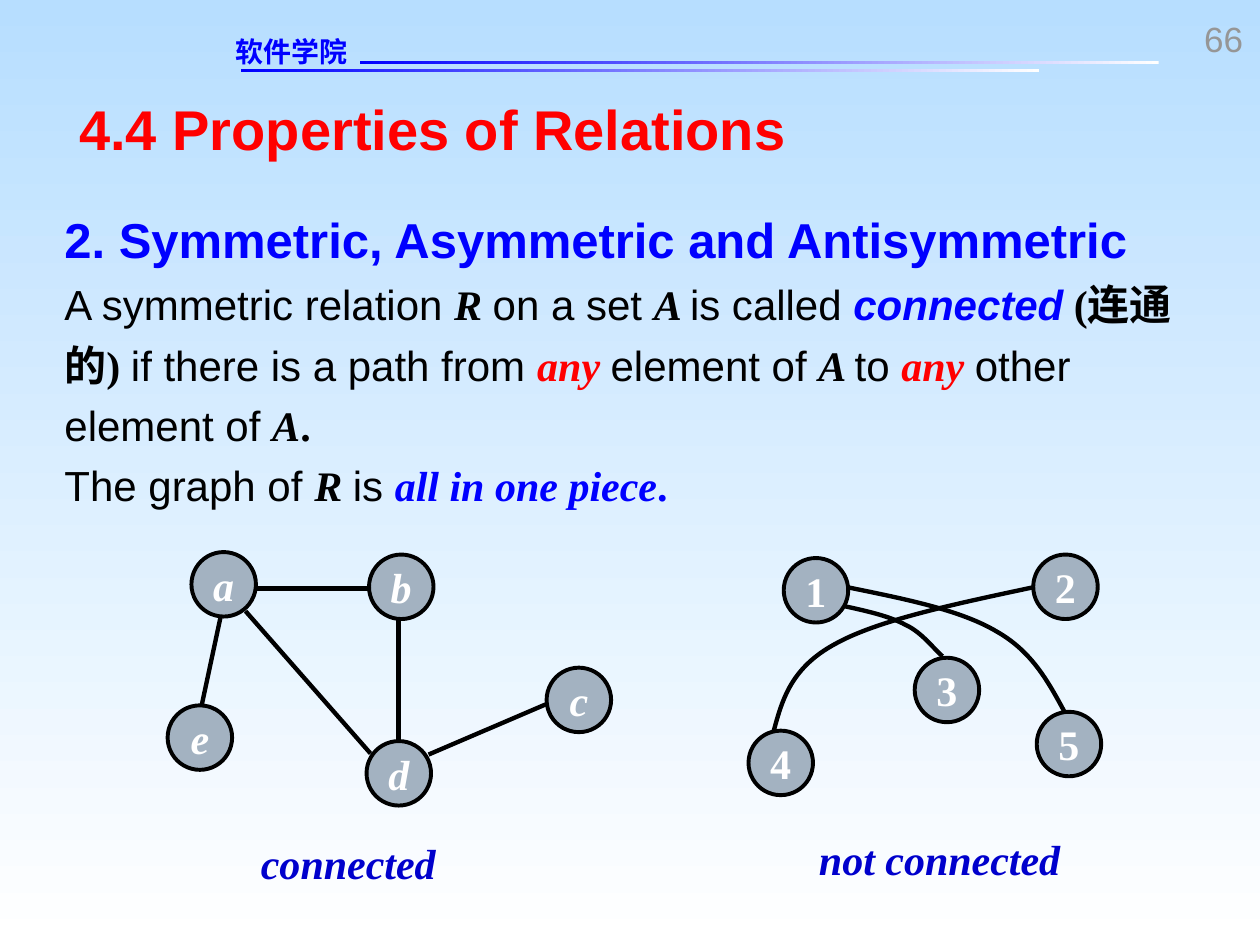
from dataclasses import dataclass
from typing import NamedTuple

from lxml.etree import SubElement
from pptx import Presentation
from pptx.dml.color import RGBColor
from pptx.enum.shapes import MSO_CONNECTOR, MSO_SHAPE
from pptx.enum.text import MSO_ANCHOR, MSO_AUTO_SIZE, PP_ALIGN
from pptx.oxml.ns import qn
from pptx.util import Cm, Pt


@dataclass(frozen=True)
class Theme:
    sans: str = "Arial"
    serif: str = "Times New Roman"
    chinese: str = "DejaVu Sans"
    sky: str = "B7DEFF"
    white: str = "FFFFFF"
    blue: str = "0000FF"
    navy: str = "0000CC"
    red: str = "FF0000"
    black: str = "000000"
    gray: str = "969696"
    node: str = "A3B2C1"
    title: int = 32
    heading: int = 28
    body: int = 24
    number: int = 20
    school: int = 16
    outline: float = 2.25
    edge: float = 2.5


THEME = Theme()
Point = tuple[float, float]


class Style(NamedTuple):
    name: str
    color: str
    size: int = THEME.body
    bold: bool = False
    italic: bool = False


class Span(NamedTuple):
    text: str
    style: Style


class TextBlock(NamedTuple):
    left: float
    top: float
    width: float
    height: float
    lines: list[list[Span]]
    format: dict = {}


class Node(NamedTuple):
    label: str
    left: float
    top: float


@dataclass(frozen=True)
class Graph:
    nodes: list[Node]
    label_style: Style
    edges: tuple[tuple[Point, Point], ...] = ()
    curves: tuple[tuple[Point, ...], ...] = ()


PLAIN = Style(THEME.sans, THEME.black)
SYMBOL = Style(THEME.serif, THEME.black, bold=True, italic=True)
STRONG = SYMBOL._replace(italic=False)
ANY = SYMBOL._replace(color=THEME.red)
PIECE = SYMBOL._replace(color=THEME.blue)
TERM = PIECE._replace(name=THEME.sans)
CAPTION = SYMBOL._replace(color=THEME.navy)
LETTER = SYMBOL._replace(color=THEME.white)
DIGIT = LETTER._replace(italic=False)
TITLE = Style(THEME.sans, THEME.red, THEME.title, True)
HEADING = Style(THEME.sans, THEME.blue, THEME.heading, True)
SCHOOL = Style(THEME.chinese, THEME.blue, THEME.school, True)
NUMBER = Style(THEME.sans, THEME.gray, THEME.number)

DEFINITION = [
    Span("A symmetric relation ", PLAIN), Span("R ", SYMBOL),
    Span("on a set ", PLAIN), Span("A ", SYMBOL),
    Span("is called ", PLAIN), Span("connected", TERM),
    Span(" (连通的) ", STRONG), Span("if there is a path from ", PLAIN),
    Span("any ", ANY), Span("element of ", PLAIN), Span("A ", SYMBOL),
    Span("to ", PLAIN), Span("any ", ANY),
    Span("other element of ", PLAIN), Span("A", SYMBOL), Span(".", STRONG),
]
REMARK = [
    Span("The graph of ", PLAIN), Span("R ", SYMBOL), Span("is ", PLAIN),
    Span("all in one piece", PIECE), Span(".", PIECE._replace(italic=False)),
]
HEADING_LINE = [Span("2. Symmetric, Asymmetric and Antisymmetric", HEADING)]

BLOCKS = [
    TextBlock(4.75, 0.69, 3.68, 0.69, [[Span("软件学院", SCHOOL)]]),
    TextBlock(23.16, 0.36, 1.9, 0.84, [[Span("66", NUMBER)]], {"alignment": PP_ALIGN.RIGHT}),
    TextBlock(1.6, 1.9, 22.73, 1.35, [[Span("4.4 Properties of Relations", TITLE)]]),
    TextBlock(1.3, 3.99, 22.99, 6.3, [HEADING_LINE, DEFINITION, REMARK], {"line_spacing": 1.2}),
    TextBlock(5.26, 16.89, 3.63, 1.02, [[Span("connected", CAPTION)]]),
    TextBlock(16.51, 16.81, 5.0, 1.02, [[Span("not connected", CAPTION)]]),
]
HEADER_RULES = [(4.85, 1.4), (7.26, 1.24)]

GRAPHS = [
    Graph(
        [Node("a", 3.86, 11.13), Node("b", 7.44, 11.18), Node("c", 11.02, 13.46),
         Node("d", 7.39, 14.94), Node("e", 3.38, 14.22)],
        LETTER,
        edges=(
            ((5.13, 11.86), (7.44, 11.86)),
            ((4.95, 12.32), (7.47, 15.19)),
            ((8.03, 14.94), (8.03, 12.45)),
            ((4.06, 14.25), (4.45, 12.42)),
            ((8.64, 15.21), (11.0, 14.2)),
        ),
    ),
    Graph(
        [Node("1", 15.8, 11.25), Node("3", 18.44, 13.26), Node("5", 20.9, 14.35)],
        DIGIT,
        curves=(
            ((17.09, 11.84), (18.21, 12.07), (19.35, 12.29), (20.09, 12.73),
             (20.8, 13.13), (21.13, 13.74), (21.46, 14.35)),
            ((17.02, 12.22), (17.48, 12.32), (17.93, 12.42), (18.26, 12.6),
             (18.59, 12.75), (18.85, 13.11), (19.0, 13.23)),
        ),
    ),
    Graph(
        [Node("2", 20.83, 11.18), Node("4", 15.09, 14.73)],
        DIGIT,
        curves=(
            ((20.83, 11.84), (19.28, 12.17), (17.7, 12.5), (16.84, 12.98),
             (15.95, 13.46), (15.77, 14.1), (15.6, 14.73)),
        ),
    ),
]


def set_all(target, values: dict) -> None:
    for name, value in values.items():
        setattr(target, name, value)


def paint_gradient(fill, colors: tuple[str, str], angle: int) -> None:
    fill.gradient()
    fill.gradient_angle = angle
    for stop, color, position in zip(fill.gradient_stops, colors, (0, 1)):
        stop.color.rgb = RGBColor.from_string(color)
        stop.position = position


def draw_line_format(line, width: float) -> None:
    line.color.rgb = RGBColor.from_string(THEME.black)
    line.width = Pt(width)


def add_span(para, span: Span) -> None:
    run = para.add_run()
    run.text = span.text
    values = span.style._asdict()
    color = values.pop("color")
    set_all(run.font, values | {"size": Pt(span.style.size)})
    run.font.color.rgb = RGBColor.from_string(color)


def add_text(page, block: TextBlock) -> None:
    box = page.shapes.add_textbox(*map(Cm, block[:4]))
    frame = box.text_frame
    margins = dict.fromkeys(("margin_left", "margin_top", "margin_right", "margin_bottom"), 0)
    set_all(frame, margins | {"word_wrap": True, "auto_size": MSO_AUTO_SIZE.SHAPE_TO_FIT_TEXT})
    for index, line in enumerate(block.lines):
        para = frame.add_paragraph() if index else frame.paragraphs[0]
        set_all(para, block.format)
        for span in line:
            add_span(para, span)


def add_header_rule(page, left: float, top: float) -> None:
    rule = page.shapes.add_shape(MSO_SHAPE.RECTANGLE, Cm(left), Cm(top), Cm(16.1), Cm(0.06))
    rule.shadow.inherit = False
    rule.line.fill.background()
    paint_gradient(rule.fill, (THEME.white, THEME.blue), 180)


def add_node(group, node: Node, style: Style) -> None:
    circle = group.shapes.add_shape(MSO_SHAPE.OVAL, Cm(node.left), Cm(node.top), Cm(1.3), Cm(1.3))
    circle.shadow.inherit = False
    circle.fill.solid()
    circle.fill.fore_color.rgb = RGBColor.from_string(THEME.node)
    draw_line_format(circle.line, THEME.outline)
    set_all(circle.text_frame, {"word_wrap": False, "vertical_anchor": MSO_ANCHOR.MIDDLE})
    para = circle.text_frame.paragraphs[0]
    para.alignment = PP_ALIGN.CENTER
    add_span(para, Span(node.label, style))


def add_edge(group, start: Point, end: Point) -> None:
    edge = group.shapes.add_connector(MSO_CONNECTOR.STRAIGHT, *map(Cm, start + end))
    draw_line_format(edge.line, THEME.edge)
    SubElement(edge._element.spPr, qn("a:effectLst"))


def add_curve(group, points: tuple[Point, ...]) -> None:
    start, *rest = [(Cm(x), Cm(y)) for x, y in points]
    builder = group.shapes.build_freeform(*start)
    builder.add_line_segments(rest, close=False)
    curve = builder.convert_to_shape()
    curve.shadow.inherit = False
    curve.fill.background()
    draw_line_format(curve.line, THEME.edge)
    outline = next(curve._element.iter(qn("a:path")))
    segments = outline.findall(qn("a:lnTo"))
    for first in range(0, len(segments), 3):
        bezier = SubElement(outline, qn("a:cubicBezTo"))
        for segment in segments[first:first + 3]:
            bezier.append(segment[0])
            outline.remove(segment)


def add_graph(page, graph: Graph) -> None:
    group = page.shapes.add_group_shape()
    for node in graph.nodes:
        add_node(group, node, graph.label_style)
    for start, end in graph.edges:
        add_edge(group, start, end)
    for points in graph.curves:
        add_curve(group, points)


def main() -> None:
    deck = Presentation()
    set_all(deck, {"slide_width": Cm(25.4), "slide_height": Cm(19.05)})
    page = deck.slides.add_slide(deck.slide_layouts[6])
    paint_gradient(page.background.fill, (THEME.sky, THEME.white), 270)
    for left, top in HEADER_RULES:
        add_header_rule(page, left, top)
    for block in BLOCKS:
        add_text(page, block)
    for graph in GRAPHS:
        add_graph(page, graph)
    deck.save("out.pptx")


if __name__ == "__main__":
    main()
